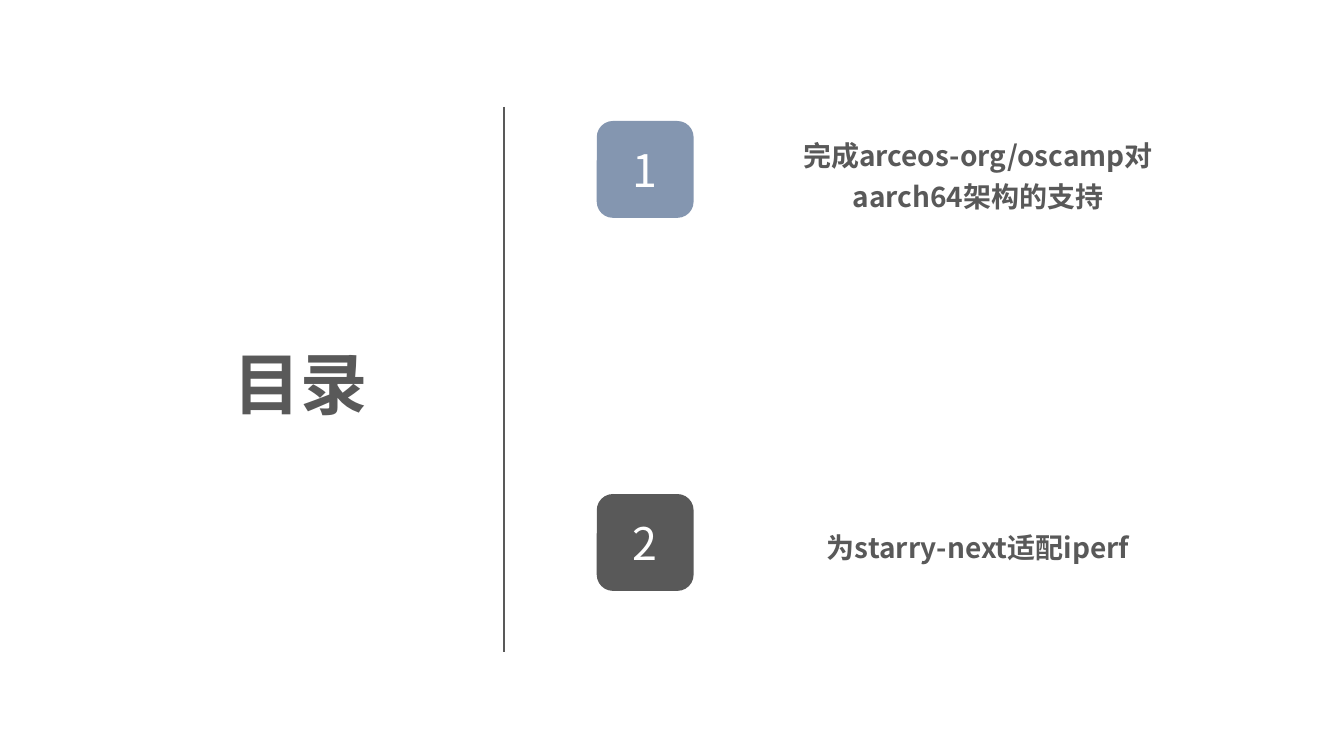
from dataclasses import dataclass

import lxml.etree
import pptx
import pptx.dml.color
import pptx.enum.shapes
import pptx.enum.text
import pptx.oxml.ns
import pptx.util

Cm = pptx.util.Cm
Anchor = pptx.enum.text.MSO_ANCHOR


@dataclass(frozen=True)
class Theme:
    font: str = "Noto Sans CJK SC"
    dark: str = "595959"
    blue: str = "8496B0"
    white: str = "FFFFFF"
    title_size: int = 48
    number_size: int = 32
    label_size: int = 20
    rule_width: float = 1.25


class AgendaSlide:
    def __init__(self, deck, theme):
        self.theme = theme
        self.slide = deck.slides.add_slide(deck.slide_layouts[5])

    def color(self, value):
        return pptx.dml.color.RGBColor.from_string(value)

    def set_lines(self, frame, lines, size, color, bold, anchor, spacing=None):
        frame.word_wrap = True
        frame.auto_size = pptx.enum.text.MSO_AUTO_SIZE.NONE
        frame.vertical_anchor = anchor
        for index, line in enumerate(lines):
            paragraph = frame.add_paragraph() if index else frame.paragraphs[0]
            paragraph.alignment = pptx.enum.text.PP_ALIGN.CENTER
            paragraph.line_spacing = spacing
            run = paragraph.add_run()
            run.text = line
            run.font.name = self.theme.font
            run.font.size = pptx.util.Pt(size)
            run.font.bold = bold
            run.font.color.rgb = self.color(color)
            east_asian = lxml.etree.SubElement(
                run.font._element, pptx.oxml.ns.qn("a:ea"))
            east_asian.set("typeface", self.theme.font)

    def title(self, text, left, top, width, height):
        heading = self.slide.shapes.title
        heading.left, heading.top = Cm(left), Cm(top)
        heading.width, heading.height = Cm(width), Cm(height)
        self.set_lines(heading.text_frame, [text], self.theme.title_size,
                       self.theme.dark, True, Anchor.MIDDLE)

    def divider(self, x, top, bottom):
        rule = self.slide.shapes.add_connector(
            pptx.enum.shapes.MSO_CONNECTOR.STRAIGHT,
            Cm(x), Cm(top), Cm(x), Cm(bottom))
        rule.line.color.rgb = self.color(self.theme.dark)
        rule.line.width = pptx.util.Pt(self.theme.rule_width)
        lxml.etree.SubElement(rule._element.spPr,
                              pptx.oxml.ns.qn("a:effectLst"))

    def entry(self, number, lines, fill, top, label_top, label_height, anchor):
        group = self.slide.shapes.add_group_shape()
        tile = group.shapes.add_shape(
            pptx.enum.shapes.MSO_SHAPE.ROUNDED_RECTANGLE,
            Cm(15.04), Cm(top), Cm(2.44), Cm(2.44))
        tile.shadow.inherit = False
        tile.fill.solid()
        tile.fill.fore_color.rgb = self.color(fill)
        tile.line.fill.background()
        self.set_lines(tile.text_frame, [str(number)], self.theme.number_size,
                       self.theme.white, False, Anchor.MIDDLE)
        label = group.shapes.add_textbox(
            Cm(18.82), Cm(label_top), Cm(11.66), Cm(label_height))
        self.set_lines(label.text_frame, lines, self.theme.label_size,
                       self.theme.dark, True, anchor, 1.2)


def main():
    deck = pptx.Presentation()
    deck.slide_width, deck.slide_height = Cm(33.87), Cm(19.05)
    theme = Theme()
    agenda = AgendaSlide(deck, theme)
    agenda.divider(12.7, 2.69, 16.43)
    agenda.title("目录", 1.6, 8.48, 11.96, 2.31)
    entries = [
        (["完成arceos-org/oscamp对", "aarch64架构的支持"],
         theme.blue, 3.05, 3.0, 2.49, Anchor.BOTTOM),
        (["为starry-next适配iperf"],
         theme.dark, 12.45, 12.5, 2.41, Anchor.MIDDLE),
    ]
    for number, details in enumerate(entries, 1):
        agenda.entry(number, *details)
    deck.save("out.pptx")


if __name__ == "__main__":
    main()
